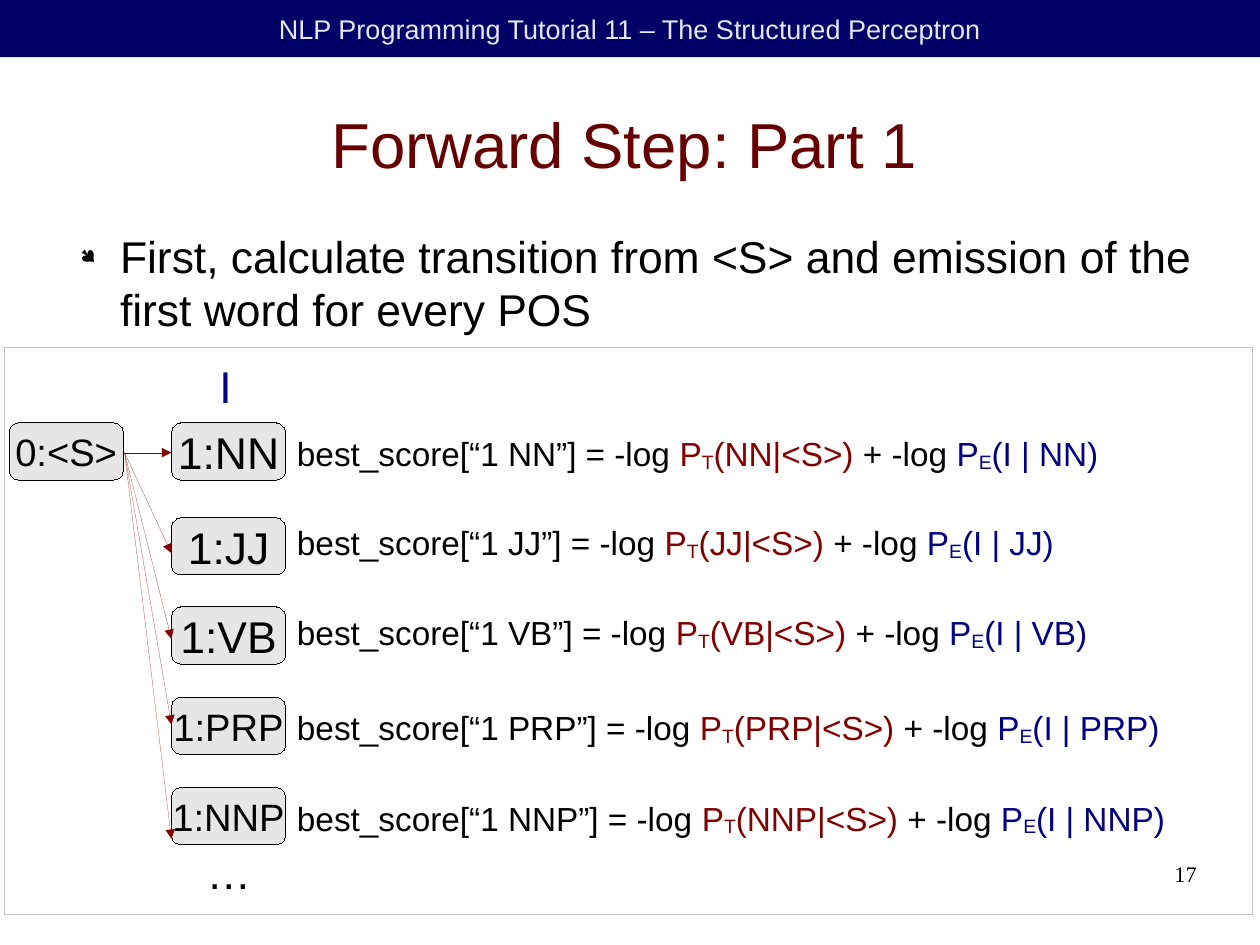
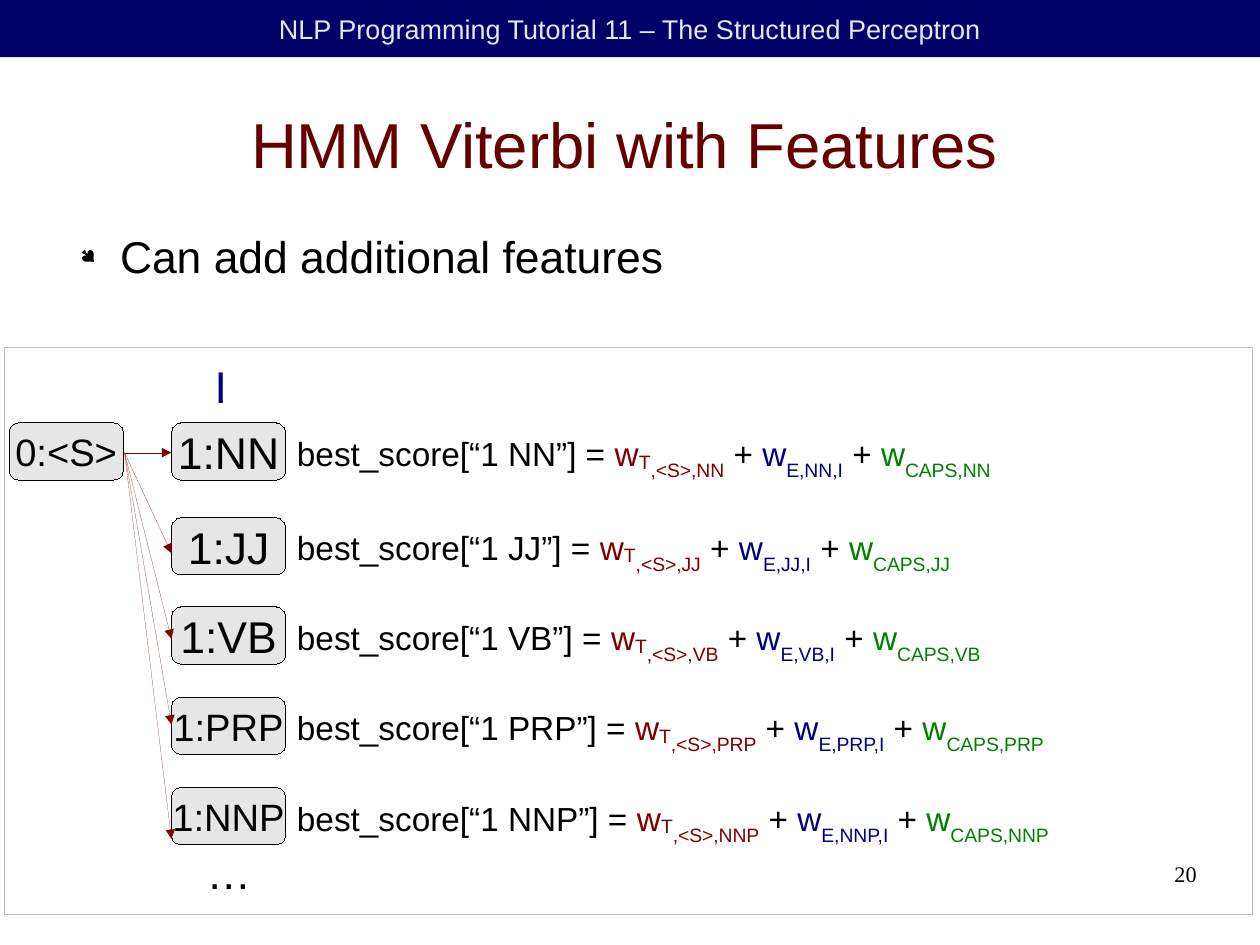
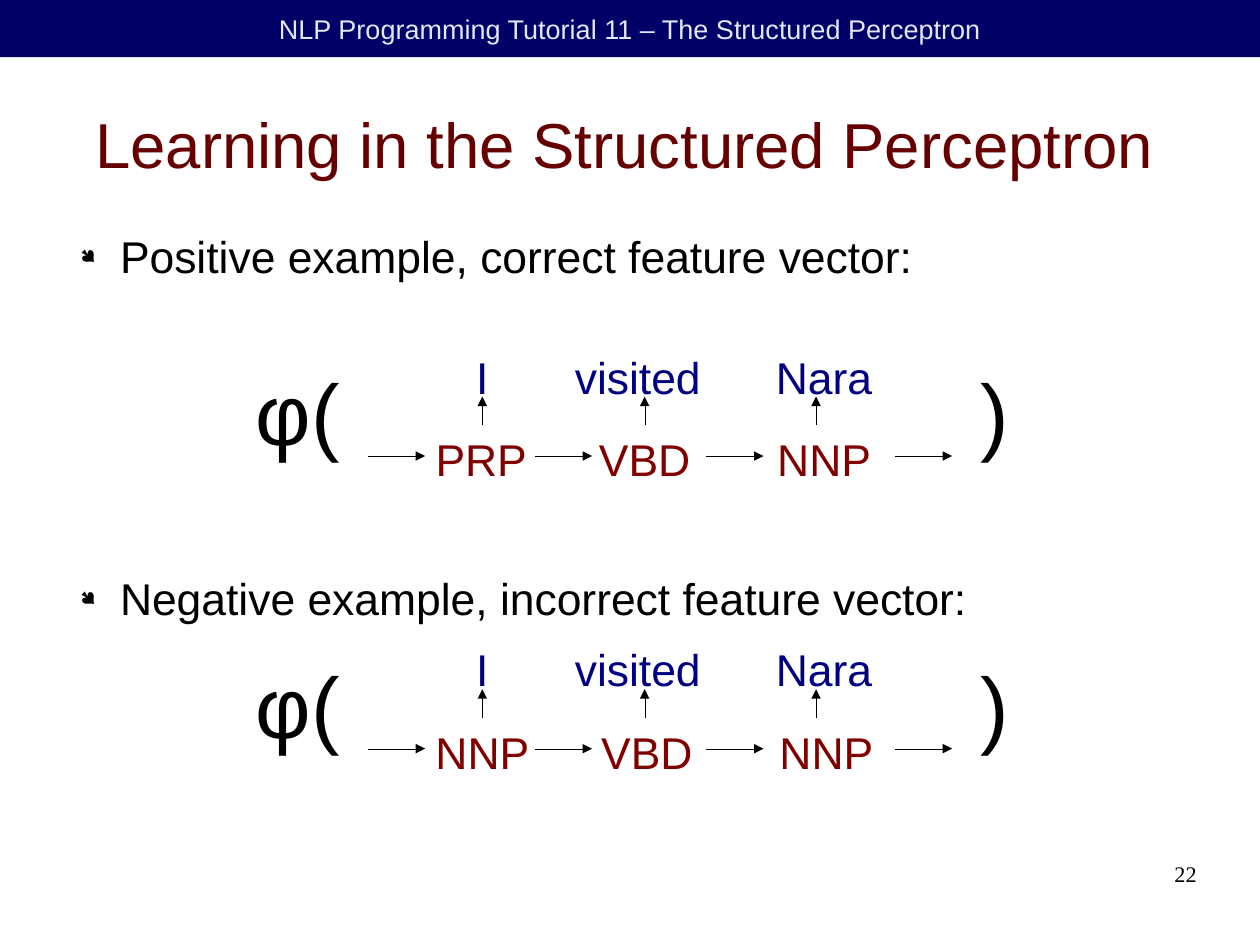
from lxml import etree
from pptx import Presentation
from pptx.dml.color import RGBColor
from pptx.enum import shapes, text
from pptx.oxml.ns import qn
from pptx.util import Inches, Pt

WIDTH, HEIGHT = 28 / 2.54, 21 / 2.54
BLACK, NAVY, MAROON, GREEN = "000000", "000080", "800000", "008000"
BAND, BAND_TEXT, TITLE = "000066", "E6E6FF", "660000"
NODE, FRAME = "E6E6E6", "C0C0C0"
COURSE = "NLP Programming Tutorial 11 – The Structured Perceptron"

STATES = [
    ("NN", 28, 3.7, 3.96),
    ("JJ", 28, 4.53, 4.84),
    ("VB", 28, 5.31, 5.59),
    ("PRP", 24, 6.1, 6.34),
    ("NNP", 24, 6.89, 7.34),
]
PROBABILITY = [
    ("best_score[“1 {t}”] = -log ", BLACK, 0),
    ("P", MAROON, 0), ("T", MAROON, -8), ("({t}|<S>)", MAROON, 0),
    (" + -log", BLACK, 0),
    (" P", NAVY, 0), ("E", NAVY, -8), ("(I | {t})", NAVY, 0),
]
FEATURES = [
    ("best_score[“1 {t}”] = ", BLACK, 0),
    ("w", MAROON, 0), ("T", MAROON, -8), (",<S>,{t}", MAROON, -33),
    (" + ", BLACK, 0),
    ("w", NAVY, 0), ("E,{t},I", NAVY, -33),
    (" + ", BLACK, 0),
    ("w", GREEN, 0), ("CAPS,{t}", GREEN, -33),
]
TRELLISES = [
    dict(title="Forward Step: Part 1", number=17, word_left=1.82,
         bullet="First, calculate transition from <S> and emission of the "
                "first word for every POS",
         formula=PROBABILITY, formula_tops=[3.74, 4.52, 5.31, 6.14, 6.93]),
    dict(title="HMM Viterbi with Features", number=20, word_left=1.78,
         bullet="Can add additional features",
         formula=FEATURES, formula_tops=[3.74, 4.56, 5.35, 6.14, 6.93]),
]
LEARNING = dict(
    title="Learning in the Structured Perceptron", number=22,
    bullets=["Positive example, correct feature vector:",
             "Negative example, incorrect feature vector:"])
WORDS = [("I", 4.22), ("visited", 5.58), ("Nara", 7.21)]
EXAMPLES = [
    (3.01, [("PRP", 4.21), ("VBD", 5.64), ("NNP", 7.21)]),
    (5.57, [("NNP", 4.22), ("VBD", 5.66), ("NNP", 7.23)]),
]
TRANSITIONS = [3.22, 4.68, 6.18, 7.83]
EMISSIONS = [4.22, 5.64, 7.14]

LEFT, CENTER, RIGHT = (text.PP_ALIGN.LEFT, text.PP_ALIGN.CENTER,
                       text.PP_ALIGN.RIGHT)


def rgb(color):
    return RGBColor.from_string(color)


def style(p, size, color, align=LEFT, font="Arial"):
    p.alignment = align
    for r in p.runs:
        r.font.size = Pt(size)
        r.font.name = font
        r.font.color.rgb = rgb(color)


def hairline(line, color):
    line.color.rgb = rgb(color)
    ln = line._get_or_add_ln()
    ln.set("w", "0")
    return ln


def add_text(s, box, content, size, color, align=LEFT, inset=True,
             middle=False, wrap=False, font="Arial"):
    tf = s.shapes.add_textbox(*map(Inches, box)).text_frame
    tf.word_wrap = wrap
    if not inset:
        tf.margin_left = tf.margin_right = tf.margin_top = tf.margin_bottom = 0
    if middle:
        tf.vertical_anchor = text.MSO_ANCHOR.MIDDLE
    tf.text = content
    for p in tf.paragraphs:
        style(p, size, color, align, font)
    return tf


def add_box(s, kind, box, fill=None, line=None):
    sp = s.shapes.add_shape(kind, *map(Inches, box))
    sp.shadow.inherit = False
    if fill:
        sp.fill.solid()
        sp.fill.fore_color.rgb = rgb(fill)
    else:
        sp.fill.background()
    if line:
        hairline(sp.line, line)
    else:
        sp.line.fill.background()
    return sp


def add_node(s, left, top, label, size):
    sp = add_box(s, shapes.MSO_SHAPE.ROUNDED_RECTANGLE, (left, top, 1, 0.5),
                 NODE, BLACK)
    tf = sp.text_frame
    tf.word_wrap = False
    tf.text = label
    style(tf.paragraphs[0], size, BLACK, CENTER)


def add_arrow(s, x1, y1, x2, y2, color):
    c = s.shapes.add_connector(shapes.MSO_CONNECTOR.STRAIGHT,
                               *map(Inches, (x1, y1, x2, y2)))
    ln = hairline(c.line, color)
    etree.SubElement(ln, qn("a:tailEnd"), type="triangle")
    etree.SubElement(c._element.spPr, qn("a:effectLst"))


def add_bullets(s, items, gap=14.2):
    tf = add_text(s, (0.58, 2, 9.92, 0.87), "\n".join(items), 28, BLACK,
                  inset=False, wrap=True)
    for p in tf.paragraphs:
        p.space_after = Pt(gap)
        ppr = p._p.get_or_add_pPr()
        ppr.set("marL", str(Inches(0.47)))
        ppr.set("indent", str(Inches(-0.35)))
        etree.SubElement(ppr, qn("a:buSzPct"), val="45000")
        etree.SubElement(ppr, qn("a:buFont"), typeface="Wingdings",
                         charset="2")
        etree.SubElement(ppr, qn("a:buChar"), char="●")


def add_formula(s, top, tag, parts):
    tf = add_text(s, (2.5, top, 7.9, 0.52), "", 21, BLACK)
    p = tf.paragraphs[0]
    for content, color, baseline in parts:
        r = p.add_run()
        r.text = content.format(t=tag)
        r.font.size = Pt(21)
        r.font.name = "Arial"
        r.font.color.rgb = rgb(color)
        if baseline:
            r._r.get_or_add_rPr().set("baseline", str(baseline * 1000))


def new_slide(prs, title, number):
    s = prs.slides.add_slide(prs.slide_layouts[6])
    band = add_box(s, shapes.MSO_SHAPE.RECTANGLE, (0, 0, WIDTH, 0.5), BAND)
    band.text_frame.text = COURSE
    style(band.text_frame.paragraphs[0], 17, BAND_TEXT, CENTER)
    add_text(s, (0.5, 0.62, 9.92, 1.27), title, 40, TITLE, CENTER,
             inset=False, middle=True, wrap=True)
    add_text(s, (7.9, 7.53, 2.57, 0.57), str(number), 14, BLACK, RIGHT,
             inset=False, wrap=True, font="Times New Roman")
    return s


def add_trellis(prs, data):
    s = new_slide(prs, data["title"], data["number"])
    add_bullets(s, [data["bullet"]])
    add_box(s, shapes.MSO_SHAPE.RECTANGLE, (0.04, 3.04, 10.92, 4.96),
            line=FRAME)
    add_text(s, (data["word_left"], 3.09, 0.31, 0.53), "I", 28, NAVY)
    add_node(s, 0.08, 3.7, "0:<S>", 24)
    for (tag, size, top, tip), formula_top in zip(STATES,
                                                  data["formula_tops"]):
        add_node(s, 1.5, top, f"1:{tag}", size)
        add_arrow(s, 1.09, 3.96, 1.5, tip, MAROON)
        add_formula(s, formula_top, tag, data["formula"])
    add_text(s, (1.71, 7.34, 0.59, 0.53), "…", 28, BLACK)


def add_learning(prs):
    s = new_slide(prs, LEARNING["title"], LEARNING["number"])
    add_bullets(s, LEARNING["bullets"], gap=182)
    for top, tags in EXAMPLES:
        for row, offset, color in ((WORDS, 0, NAVY), (tags, 0.72, MAROON)):
            for label, center in row:
                add_text(s, (center - 0.75, top + offset, 1.5, 0.53), label,
                         28, color, CENTER, wrap=True)
        for left in TRANSITIONS:
            add_arrow(s, left, top + 0.98, left + 0.5, top + 0.98, BLACK)
        for x in EMISSIONS:
            add_arrow(s, x, top + 0.71, x, top + 0.46, BLACK)
        for label, left, width in (("φ(", 2.14, 1.1), (")", 8.48, 0.5)):
            add_text(s, (left, top + 0.09, width, 0.94), label, 54, BLACK)


def main():
    prs = Presentation()
    prs.slide_width, prs.slide_height = Inches(WIDTH), Inches(HEIGHT)
    for data in TRELLISES:
        add_trellis(prs, data)
    add_learning(prs)
    prs.save("out.pptx")


if __name__ == "__main__":
    main()
